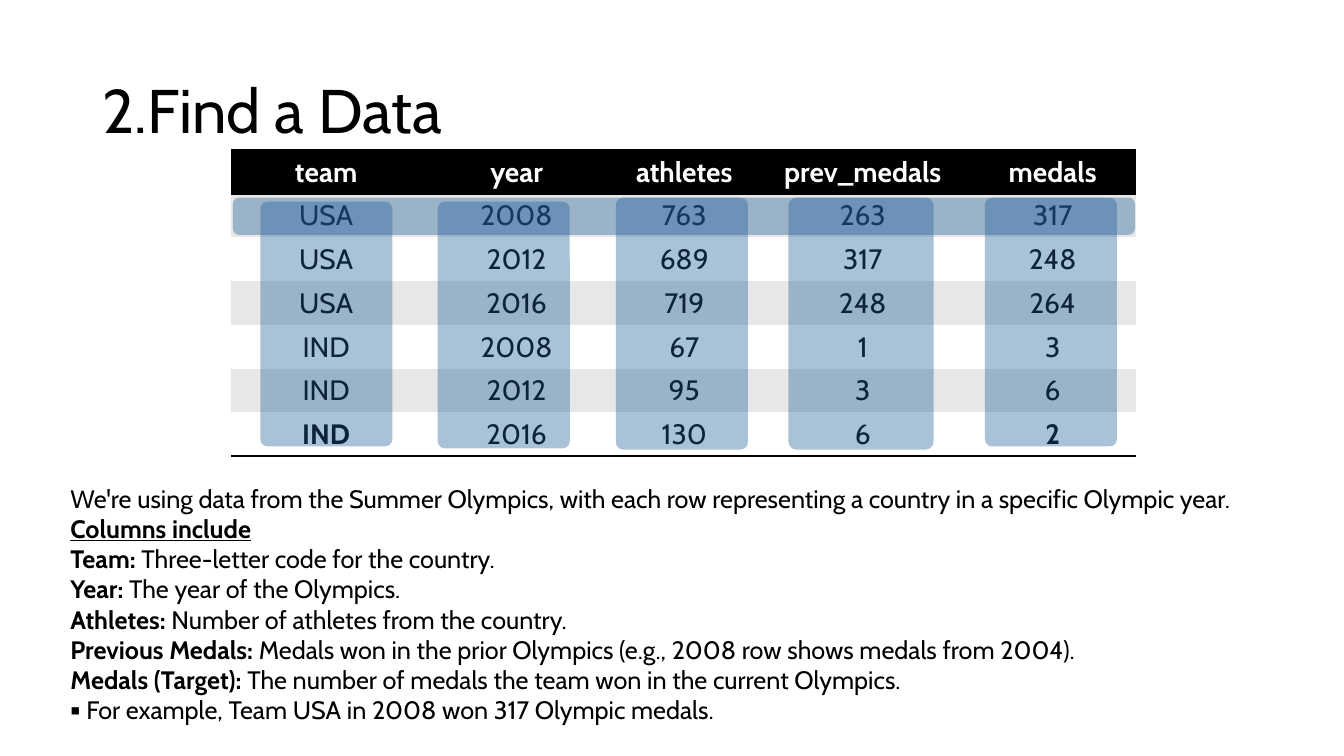
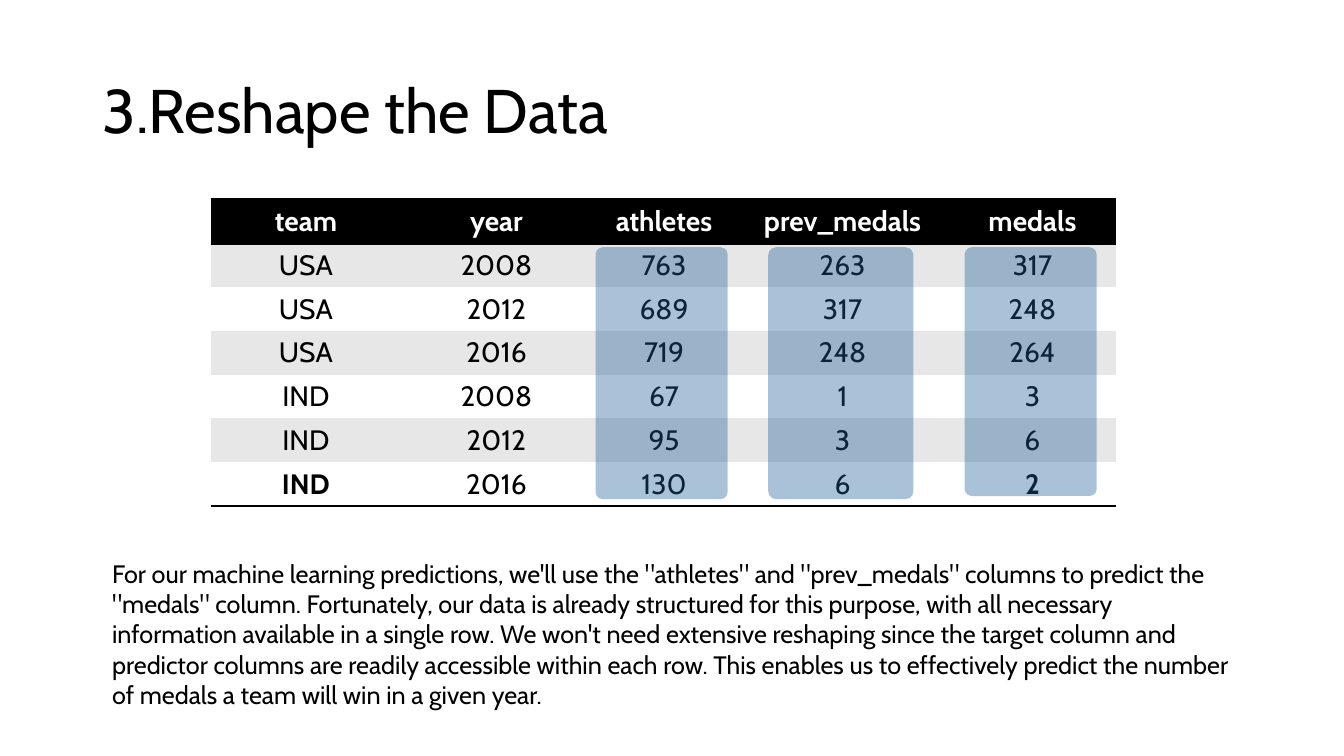
import pptx
import pptx.dml.color
import pptx.enum.shapes
import pptx.enum.text
import pptx.oxml.ns
import pptx.util
import lxml.etree

Cm = pptx.util.Cm
Pt = pptx.util.Pt
qn = pptx.oxml.ns.qn
Align = pptx.enum.text.PP_ALIGN
Fit = pptx.enum.text.MSO_AUTO_SIZE

FONT = "Cabin"
HUES = {"ink": "000000", "paper": "FFFFFF", "band": "E7E7E7", "mark": "215F9A"}
PLAIN_GRID = "{2D5ABB26-0587-4C30-8999-92F81FD0307C}"

WIDTHS = [4.8, 4.8, 3.65, 5.35, 4.22]
ROWS = [
    ["team", "year", "athletes", "prev_medals", "medals"],
    ["USA", "2008", "763", "263", "317"],
    ["USA", "2012", "689", "317", "248"],
    ["USA", "2016", "719", "248", "264"],
    ["IND", "2008", "67", "1", "3"],
    ["IND", "2012", "95", "3", "6"],
    ["IND", "2016", "130", "6", "2"],
]
LAST = len(ROWS) - 1

ROW_MARK = (0.05, 1.2, 22.73, 0.94, 0.1667)
COL_MARKS = [
    (0.74, 1.3, 3.33, 6.17, 0.055),
    (5.21, 1.3, 3.33, 6.22, 0.055),
    (9.7, 1.2, 3.33, 6.35, 0.055),
    (14.05, 1.2, 3.66, 6.35, 0.055),
    (19, 1.2, 3.33, 6.27, 0.055),
]

SLIDES = [
    {
        "title": "2.Find a Data",
        "grid": (5.82, 3.78),
        "marks": [ROW_MARK] + COL_MARKS,
        "box": (1.52, 12.04, 30.81, 6.4),
        "text": [
            [("We're using data from the Summer Olympics, with each row "
              "representing a country in a specific Olympic year. ", ""),
             ("Columns include", "bu")],
            [("Team: ", "b"), ("Three-letter code for the country.", "")],
            [("Year: ", "b"), ("The year of the Olympics.", "")],
            [("Athletes: ", "b"), ("Number of athletes from the country.", "")],
            [("Previous Medals: ", "b"),
             ("Medals won in the prior Olympics (e.g., 2008 row shows medals from 2004).", "")],
            [("Medals (Target): ", "b"),
             ("The number of medals the team won in the current Olympics.", "")],
        ],
        "point": "For example, Team USA in 2008 won 317 Olympic medals.",
    },
    {
        "title": "3.Reshape the Data",
        "grid": (5.31, 5.03),
        "marks": COL_MARKS[2:],
        "box": (2.57, 13.94, 28.7, 4.11),
        "text": [
            [('For our machine learning predictions, we\'ll use the "athletes" and '
              '"prev_medals" columns to predict the "medals" column. '
              "Fortunately, our data is already structured for this purpose, with all "
              "necessary information available in a single row. We won't need extensive "
              "reshaping since the target column and predictor columns are readily "
              "accessible within each row. This enables us to effectively predict the "
              "number of medals a team will win in a given year.", "")],
        ],
        "point": None,
    },
]


def write(par, text, size, hue="ink", style=""):
    run = par.add_run()
    run.text = text
    font = run.font
    font.name = FONT
    font.size = Pt(size)
    font.color.rgb = pptx.dml.color.RGBColor.from_string(HUES[hue])
    font.bold = "b" in style
    font.underline = "u" in style


def rule(cell, side):
    line = lxml.etree.Element(qn("a:ln" + side), w=str(Pt(2)))
    fill = lxml.etree.SubElement(line, qn("a:solidFill"))
    lxml.etree.SubElement(fill, qn("a:srgbClr"), val=HUES["ink"])
    cell._tc.get_or_add_tcPr().insert(0, line)


deck = pptx.Presentation()
deck.slide_width = Cm(33.87)
deck.slide_height = Cm(19.05)
layout = deck.slide_layouts[1]
head = layout.placeholders[0]
head.left, head.top, head.width, head.height = Cm(2.33), Cm(1.01), Cm(29.21), Cm(3.68)

for page in SLIDES:
    slide = deck.slides.add_slide(layout)
    title, body = slide.placeholders

    par = title.text_frame.paragraphs[0]
    par.alignment = Align.LEFT
    par.line_spacing = 0.9
    write(par, page["title"], 44)

    body.left, body.top, body.width, body.height = [Cm(n) for n in page["box"]]
    frame = body.text_frame
    frame.auto_size = Fit.SHAPE_TO_FIT_TEXT
    lines = page["text"] + ([[(page["point"], "")]] if page["point"] else [])
    for i, line in enumerate(lines):
        par = frame.add_paragraph() if i else frame.paragraphs[0]
        par.space_before = Pt(0)
        props = par._p.get_or_add_pPr()
        point = i == len(page["text"])
        dent = Cm(0.4) if point else 0
        props.set("marL", str(dent))
        props.set("indent", str(-dent))
        if point:
            lxml.etree.SubElement(props, qn("a:buFont"), typeface=FONT)
            lxml.etree.SubElement(props, qn("a:buChar"), char="▪")
        else:
            lxml.etree.SubElement(props, qn("a:buNone"))
        for text, style in line:
            write(par, text, 18, style=style)

    left, top = page["grid"]
    grid = slide.shapes.add_table(
        len(ROWS), len(WIDTHS), Cm(left), Cm(top), Cm(sum(WIDTHS)), Cm(len(ROWS)))
    for style in grid.element.iter(qn("a:tableStyleId")):
        style.text = PLAIN_GRID
    table = grid.table
    for col, width in zip(table.columns, WIDTHS):
        col.width = Cm(width)
    for r, row in enumerate(ROWS):
        back = "ink" if r == 0 else "band" if r % 2 else "paper"
        for c, text in enumerate(row):
            cell = table.cell(r, c)
            cell.fill.solid()
            cell.fill.fore_color.rgb = pptx.dml.color.RGBColor.from_string(HUES[back])
            par = cell.text_frame.paragraphs[0]
            par.alignment = Align.CENTER
            ends = c in (0, len(WIDTHS) - 1)
            bold = r == 0 or r == LAST and ends
            write(par, text, 20, "ink" if r else "paper", "b" if bold else "")
            if r in (0, LAST):
                rule(cell, "B")
            if r == 0:
                rule(cell, "T")

    for x, y, width, height, bend in page["marks"]:
        mark = slide.shapes.add_shape(
            pptx.enum.shapes.MSO_SHAPE.ROUNDED_RECTANGLE,
            Cm(left + x), Cm(top + y), Cm(width), Cm(height))
        mark.adjustments[0] = bend
        mark.shadow.inherit = False
        mark.line.fill.background()
        mark.fill.solid()
        mark.fill.fore_color.rgb = pptx.dml.color.RGBColor.from_string(HUES["mark"])
        for tint in mark.element.iter(qn("a:srgbClr")):
            lxml.etree.SubElement(tint, qn("a:alpha"), val="38000")

deck.save("out.pptx")
